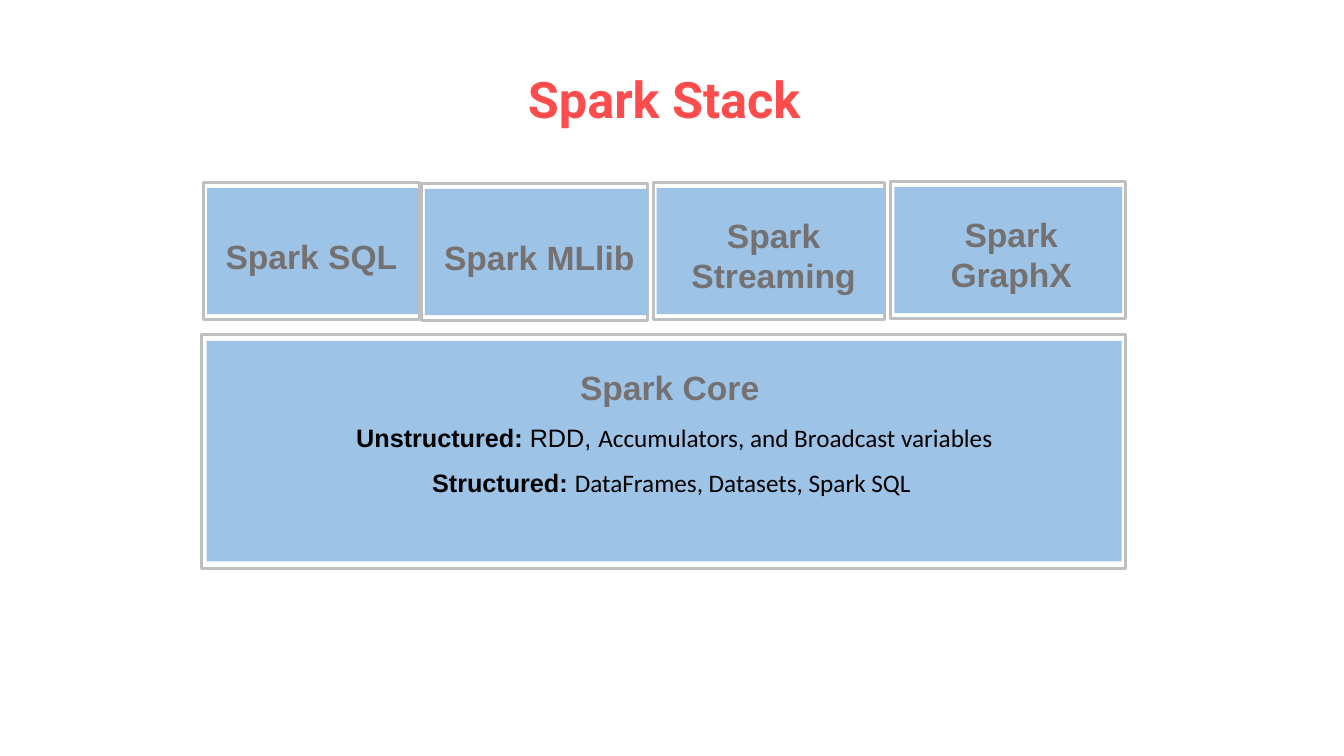
from pptx import Presentation
from pptx.dml.color import RGBColor
from pptx.enum.shapes import MSO_SHAPE
from pptx.enum.text import MSO_ANCHOR, MSO_AUTO_SIZE, PP_ALIGN
from pptx.util import Cm, Pt

COLORS = {"title": "FF4D4D", "frame": "FFFFFF", "border": "BFBFBF",
          "panel": "9DC3E6", "heading": "767171", "body": "000000"}

TITLE = "Spark Stack"
# label, frame (left, top, width), panel width, label width, label height
MODULES = [
    ("Spark SQL", (5.13, 4.6, 5.44), 5.31, 5.16, 1.27),
    ("Spark MLlib", (10.62, 4.62, 5.69), 5.61, 5.66, 1.27),
    ("Spark Streaming", (16.46, 4.6, 5.84), 5.74, 5.79, 2.31),
    ("Spark GraphX", (22.45, 4.57, 5.92), 5.74, 5.79, 2.31),
]
FRAME_H, PANEL_H = 3.45, 3.18
PANEL_DX, PANEL_DY, LABEL_DX = 0.09, 0.14, 0.14
LABEL_MIDDLE = 1.85  # from the top of the frame

# run: text, size, font, color, bold
CORE = [
    [("Spark Core ", 24, "Arial", "heading", True)],
    [("Unstructured:", 18, "Arial", "body", True),
     (" RDD, ", 18, "Arial", "body", False),
     ("Accumulators, and Broadcast variables", 18, "Calibri", "body", False)],
    [("Structured: ", 18, "Arial", "body", True),
     ("DataFrames, Datasets, Spark SQL ", 18, "Calibri", "body", False)],
]
CORE_FRAME = (5.08, 8.43, 23.29, 5.89)
CORE_PANEL = (5.21, 8.59, 23.06, 5.56)
CORE_TEXT = (5.69, 9.12, 22.61, 3.58)


def rgb(name):
    return RGBColor.from_string(COLORS[name])


def add_run(p, text, size, font, color, bold):
    r = p.add_run()
    r.text = text
    r.font.size, r.font.name, r.font.bold = Pt(size), font, bold
    r.font.color.rgb = rgb(color)


def add_rect(shapes, box, fill, border=None):
    sp = shapes.add_shape(MSO_SHAPE.RECTANGLE, *map(Cm, box))
    sp.shadow.inherit = False
    sp.fill.solid()
    sp.fill.fore_color.rgb = rgb(fill)
    if border:
        sp.line.color.rgb = rgb(border)
        sp.line.width = Pt(2.25)
    else:
        sp.line.fill.background()


def add_block(s, frame, panel, text_box, paragraphs):
    """Group a bordered frame, its coloured panel and centred text."""
    shapes = s.shapes.add_group_shape().shapes
    add_rect(shapes, frame, "frame", "border")
    add_rect(shapes, panel, "panel")
    tf = shapes.add_textbox(*map(Cm, text_box)).text_frame
    tf.word_wrap = True
    tf.auto_size = MSO_AUTO_SIZE.SHAPE_TO_FIT_TEXT
    for i, runs in enumerate(paragraphs):
        p = tf.add_paragraph() if i else tf.paragraphs[0]
        p.alignment = PP_ALIGN.CENTER
        if i:
            p.line_spacing = 1.5
        for run in runs:
            add_run(p, *run)


def add_title(s):
    sp = s.shapes.title
    sp.left, sp.top, sp.width, sp.height = map(Cm, (4.04, 1.52, 25.4, 1.88))
    tf = sp.text_frame
    tf.vertical_anchor = MSO_ANCHOR.BOTTOM
    tf.auto_size = MSO_AUTO_SIZE.NONE
    p = tf.paragraphs[0]
    p.alignment = PP_ALIGN.CENTER
    p.line_spacing = 0.9
    add_run(p, TITLE, 36, "Roboto", "title", True)


def main():
    prs = Presentation()
    prs.slide_width, prs.slide_height = Cm(33.87), Cm(19.05)
    s = prs.slides.add_slide(prs.slide_layouts[5])
    add_title(s)
    add_block(s, CORE_FRAME, CORE_PANEL, CORE_TEXT, CORE)
    for label, (x, y, w), panel_w, label_w, label_h in MODULES:
        add_block(s, (x, y, w, FRAME_H),
                  (x + PANEL_DX, y + PANEL_DY, panel_w, PANEL_H),
                  (x + LABEL_DX, y + LABEL_MIDDLE - label_h / 2, label_w, label_h),
                  [[(label, 24, "Arial", "heading", True)]])
    prs.save("out.pptx")


if __name__ == "__main__":
    main()
